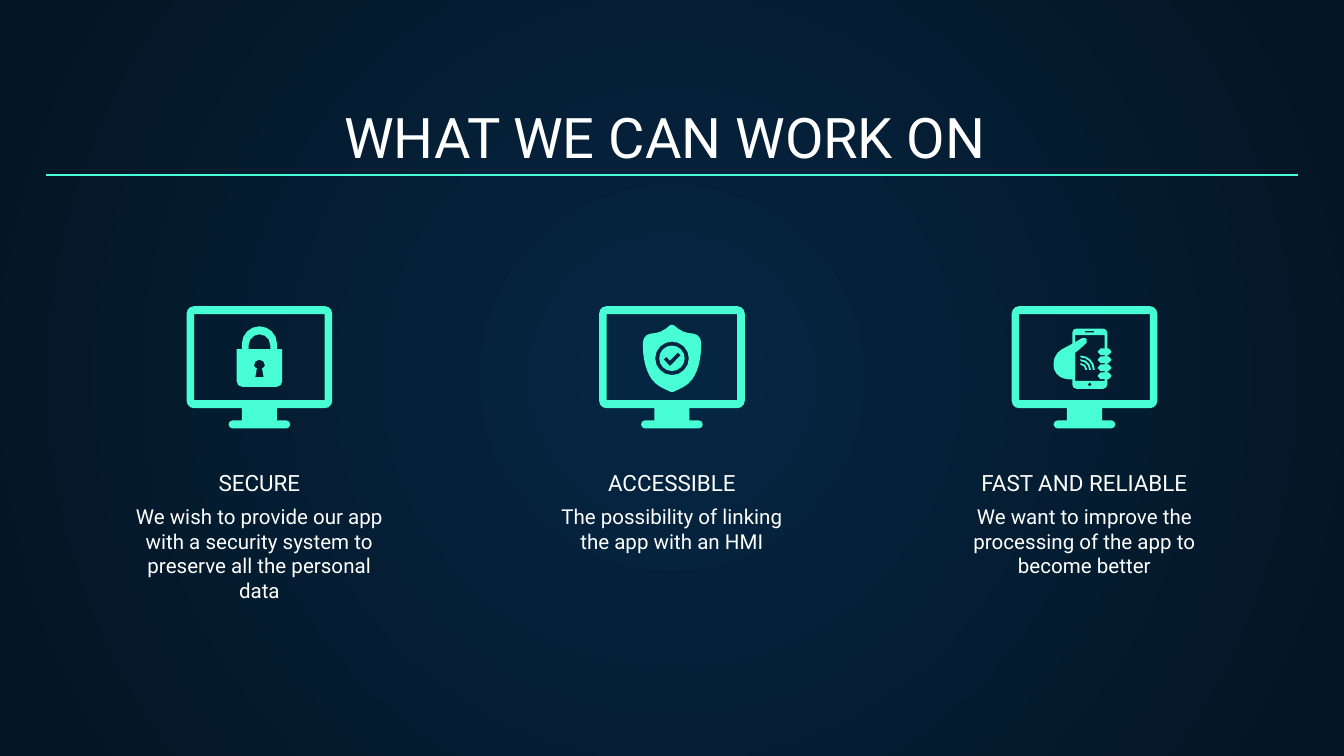
from dataclasses import dataclass
from math import hypot
from typing import NamedTuple

import lxml.etree
import pptx
import pptx.dml.color
import pptx.enum.shapes
import pptx.enum.text
import pptx.oxml.ns
import pptx.util

Pt = pptx.util.Pt
RGB = pptx.dml.color.RGBColor
Anchor = pptx.enum.text.MSO_ANCHOR
qn = pptx.oxml.ns.qn


@dataclass(frozen=True)
class Theme:
    font: str = "Roboto"
    text: RGB = RGB(0xFF, 0xFF, 0xFF)
    mint: RGB = RGB(0x48, 0xFF, 0xD5)
    core: RGB = RGB(0x05, 0x26, 0x43)
    edge: RGB = RGB(0x04, 0x15, 0x23)
    title: int = 30
    head: int = 12
    body: int = 11


class Knot(NamedTuple):
    """A corner of an outline, rounded by radius r."""
    x: float
    y: float
    r: float = 0


Loop = list[Knot]
Shape = list[Loop]


class Topic(NamedTuple):
    head: str
    body: str
    high: float
    icon: list[Shape]


# Outlines: x runs from the icon's middle, y from its top
def loop(*knots: tuple) -> Loop:
    return [Knot(*k) for k in knots]


def mirror(*half: tuple) -> Loop:
    right = loop(*half)
    return right + [Knot(-k.x, k.y, k.r) for k in reversed(right)]


def box(x: float, y: float, wide: float, high: float, r: float = 0) -> Loop:
    return loop((x, y, r), (x + wide, y, r),
                (x + wide, y + high, r), (x, y + high, r))


def disc(x: float, y: float, r: float) -> Loop:
    return box(x - r, y - r, 2 * r, 2 * r, r)


def wave(x: float, y: float, r: float) -> Loop:
    far = r + 1
    return loop((x, y - far), (x + far, y - far, far), (x + far, y),
                (x + r, y), (x + r, y - r, r), (x, y - r))


def trace(knots: Loop) -> list[tuple[float, float]]:
    """Turn rounded corners into a few points along a curve."""
    dots = []
    for i, k in enumerate(knots):
        if not k.r:
            dots.append((k.x, k.y))
            continue
        ways = []
        for near in (knots[i - 1], knots[(i + 1) % len(knots)]):
            size = hypot(near.x - k.x, near.y - k.y)
            ways.append(((near.x - k.x) / size * k.r,
                         (near.y - k.y) / size * k.r))
        (ax, ay), (bx, by) = ways
        steps = min(4, 1 + int(k.r / 2))
        for n in range(steps + 1):
            t = n / steps
            s = 1 - t
            a = s ** 3 + 0.45 * 3 * s * s * t
            b = t ** 3 + 0.45 * 3 * s * t * t
            dots.append((k.x + a * ax + b * bx, k.y + a * ay + b * by))
    return dots


SCREEN: Shape = [
    mirror((39, 0, 4), (39, 54.7, 4), (9.4, 54.7), (9.4, 61.2),
           (16.5, 61.2, 2.1), (16.5, 65.5, 2.1)),
    box(-35, 4.3, 70, 46.1),
]
LOCK: Shape = [
    mirror((9.4, 10.8, 9.4), (9.4, 23), (12.2, 23), (12.2, 43.2, 2.9)),
    mirror((5.8, 15.1, 5.8), (5.8, 23)),
    mirror((2.9, 28.7, 2.9), (2.9, 33, 1), (1.4, 33.2), (2.2, 38)),
]
SHIELD: Shape = [
    mirror((0.8, 10.1), (6, 14.2, 3), (15.6, 15.2, 4.2), (15.6, 26, 4),
           (13.2, 36, 4), (8.8, 42, 3), (0.5, 46.1)),
    disc(0, 28, 9),
]
CHECK: Shape = [
    disc(0, 28, 6.8),
    loop((3.1, 24.9), (4.7, 26.3), (-1, 32.2),
         (-4.5, 28.6), (-3, 27.2), (-1.1, 29.2)),
]
PHONE: Shape = [
    box(-6.5, 12, 18.7, 32.3, 2.2),
    box(-5, 15.5, 15.8, 24.5),
    box(0.2, 13.3, 5, 0.8),
    disc(2.8, 42, 1.1),
]
HAND: Shape = [
    loop((-6.5, 20.2), (-0.3, 16.6, 1), (2.3, 18.6, 1.5), (-3, 23.5),
         (-5, 25), (-5, 39.2), (-10.5, 39.2, 2), (-16.6, 36, 4),
         (-16.6, 25.5, 5)),
]
GRIP: Shape = [box(7.2, 22.7 + 4.3 * i, 7.2, 3.6, 1.5) for i in range(4)]
WAVES: Shape = [wave(-2.2, 34.2, r) for r in (2.7, 4.7, 6.7)]

TOPICS = [
    Topic("SECURE", "We wish to provide our app with a security system to "
          "preserve all the personal data", 64, [LOCK]),
    Topic("ACCESSIBLE", "The possibility of linking the app with an HMI",
          40, [SHIELD, CHECK]),
    Topic("FAST AND RELIABLE", "We want to improve the processing of the app "
          "to become better", 48, [PHONE, HAND, GRIP, WAVES]),
]


# Drawing
def paint(slide, theme: Theme) -> None:
    fill = slide.background.fill
    fill.gradient()
    for stop, tint in zip(fill.gradient_stops, (theme.core, theme.edge)):
        stop.color.rgb = tint
    lin = next(slide.element.iter(qn("a:lin")))
    ring = lxml.etree.Element(qn("a:path"), {"path": "circle"})
    lxml.etree.SubElement(ring, qn("a:fillToRect"),
                          dict.fromkeys("ltrb", "50000"))
    lin.getparent().replace(lin, ring)


def write(slide, theme: Theme, text: str, size: int, mid: float, top: float,
          wide: float, high: float, anchor=Anchor.BOTTOM) -> None:
    label = slide.shapes.add_textbox(Pt(mid - wide / 2), Pt(top),
                                     Pt(wide), Pt(high))
    frame = label.text_frame
    frame.word_wrap = True
    frame.vertical_anchor = anchor
    frame.margin_left = frame.margin_right = Pt(7.2)
    frame.margin_top = frame.margin_bottom = Pt(7.2)
    para = frame.paragraphs[0]
    para.text = text
    para.alignment = pptx.enum.text.PP_ALIGN.CENTER
    para.font.name = theme.font
    para.font.size = Pt(size)
    para.font.color.rgb = theme.text


def draw(slide, theme: Theme, shape: Shape, mid: float, top: float) -> None:
    pen = None
    for knots in shape:
        first, *rest = [(Pt(mid + x), Pt(top + y)) for x, y in trace(knots)]
        if pen is None:
            pen = slide.shapes.build_freeform(*first)
        else:
            pen.move_to(*first)
        pen.add_line_segments(rest, close=True)
    part = pen.convert_to_shape()
    part.shadow.inherit = False
    part.fill.solid()
    part.fill.fore_color.rgb = theme.mint
    part.line.fill.background()


def rule(slide, theme: Theme, left: float, right: float, y: float) -> None:
    line = slide.shapes.add_connector(pptx.enum.shapes.MSO_CONNECTOR.STRAIGHT,
                                      Pt(left), Pt(y), Pt(right), Pt(y))
    line.line.color.rgb = theme.mint
    line.line.width = Pt(0.75)
    lxml.etree.SubElement(line._element.spPr, qn("a:effectLst"))


def main() -> None:
    theme = Theme()
    deck = pptx.Presentation()
    deck.slide_width, deck.slide_height = Pt(720), Pt(405)
    slide = deck.slides.add_slide(deck.slide_layouts[6])
    paint(slide, theme)

    # Title and its rule
    write(slide, theme, "WHAT WE CAN WORK ON ", theme.title, 360, 50.4, 671, 47.5)
    rule(slide, theme, 24.5, 695.5, 93.8)

    # Three columns
    for i, topic in enumerate(TOPICS):
        mid = 139 + 221 * i
        write(slide, theme, topic.body, theme.body, mid, 262.8, 149,
              topic.high, Anchor.TOP)
        write(slide, theme, topic.head, theme.head, mid, 257.8, 163.4, 15.1)
        for shape in [SCREEN, *topic.icon]:
            draw(slide, theme, shape, mid, 164)

    deck.save("out.pptx")


if __name__ == "__main__":
    main()
